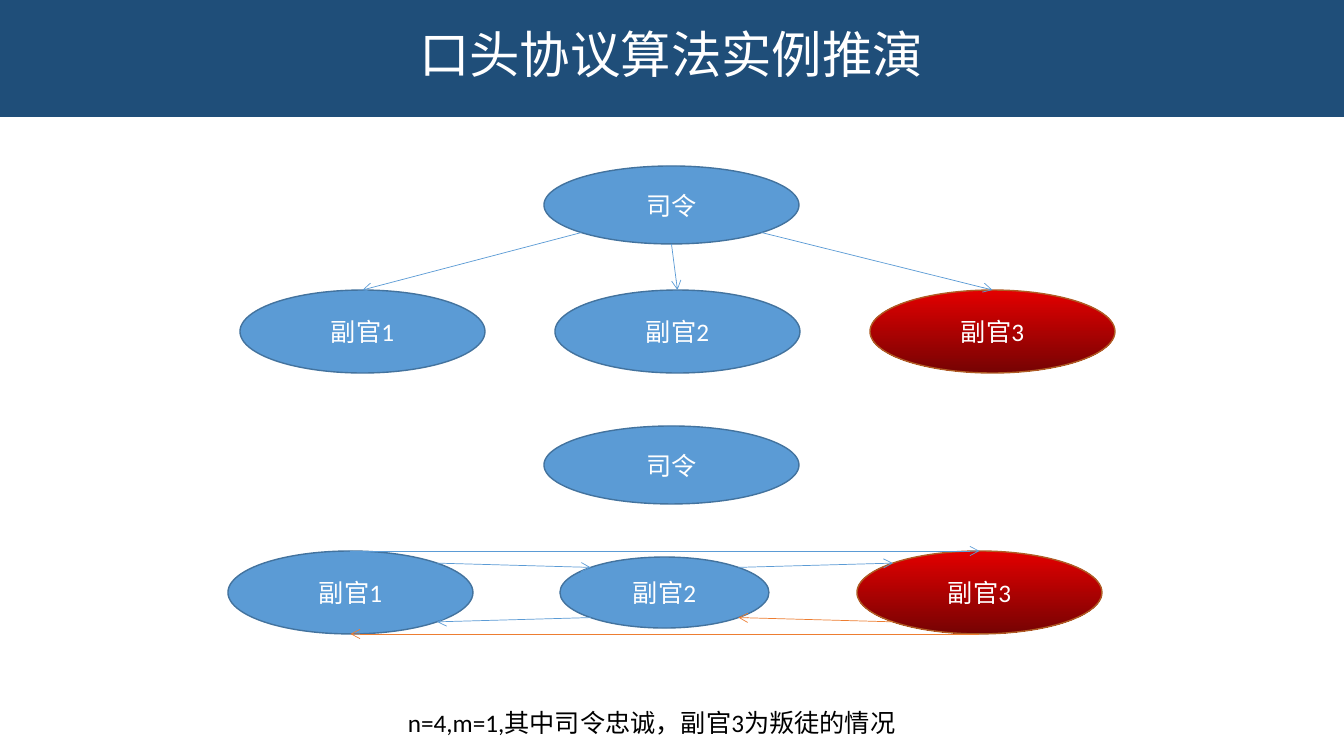
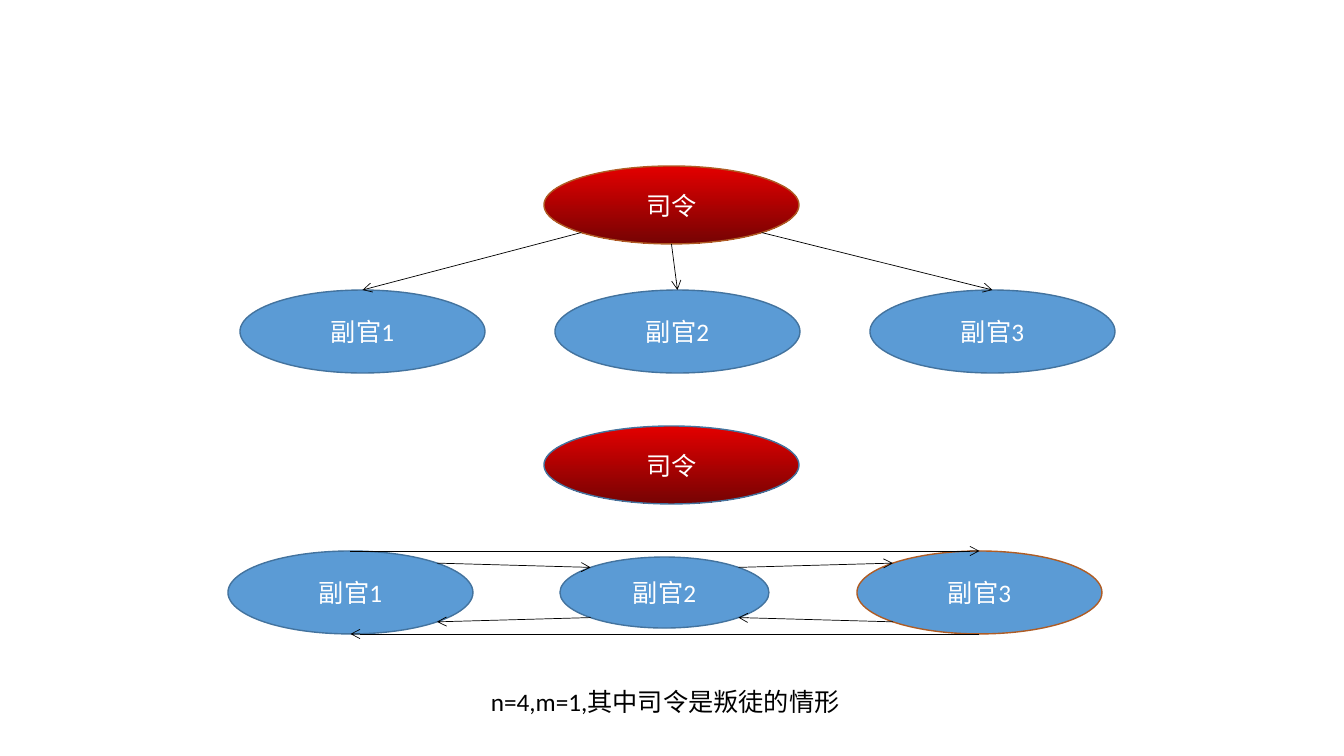
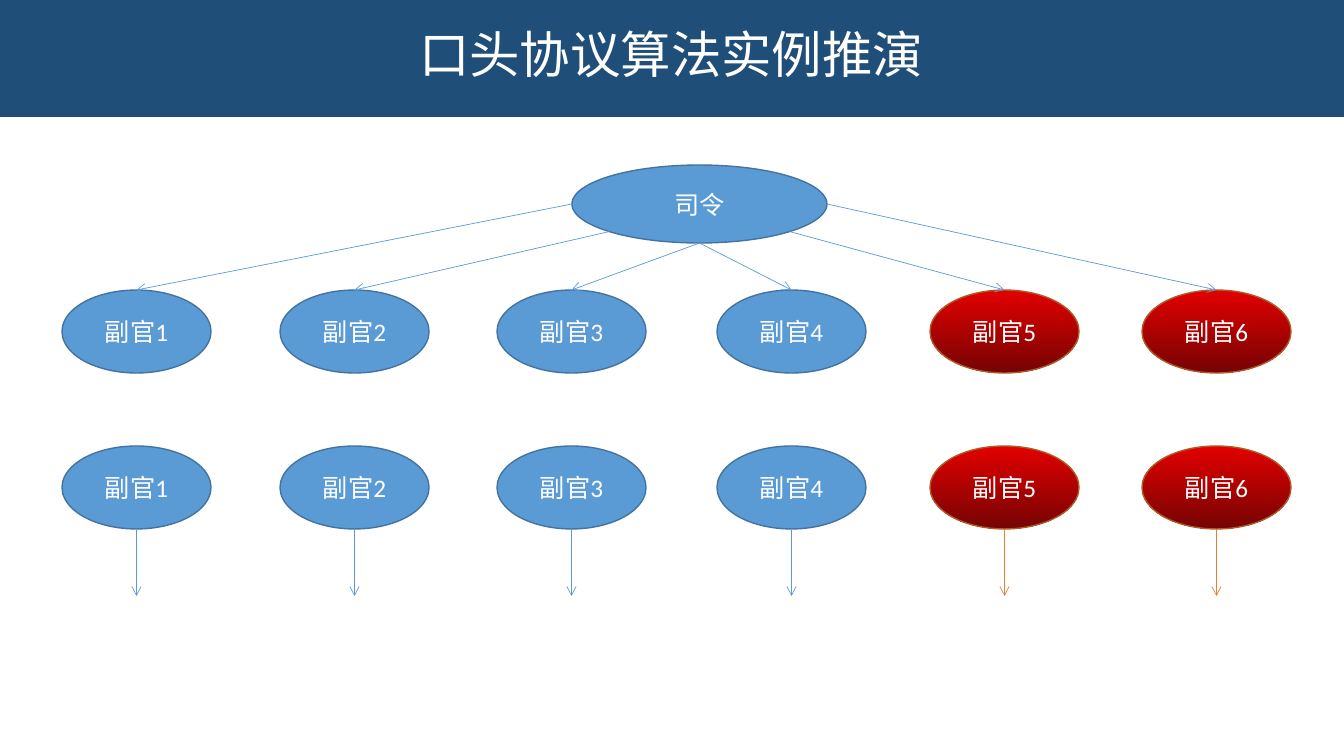
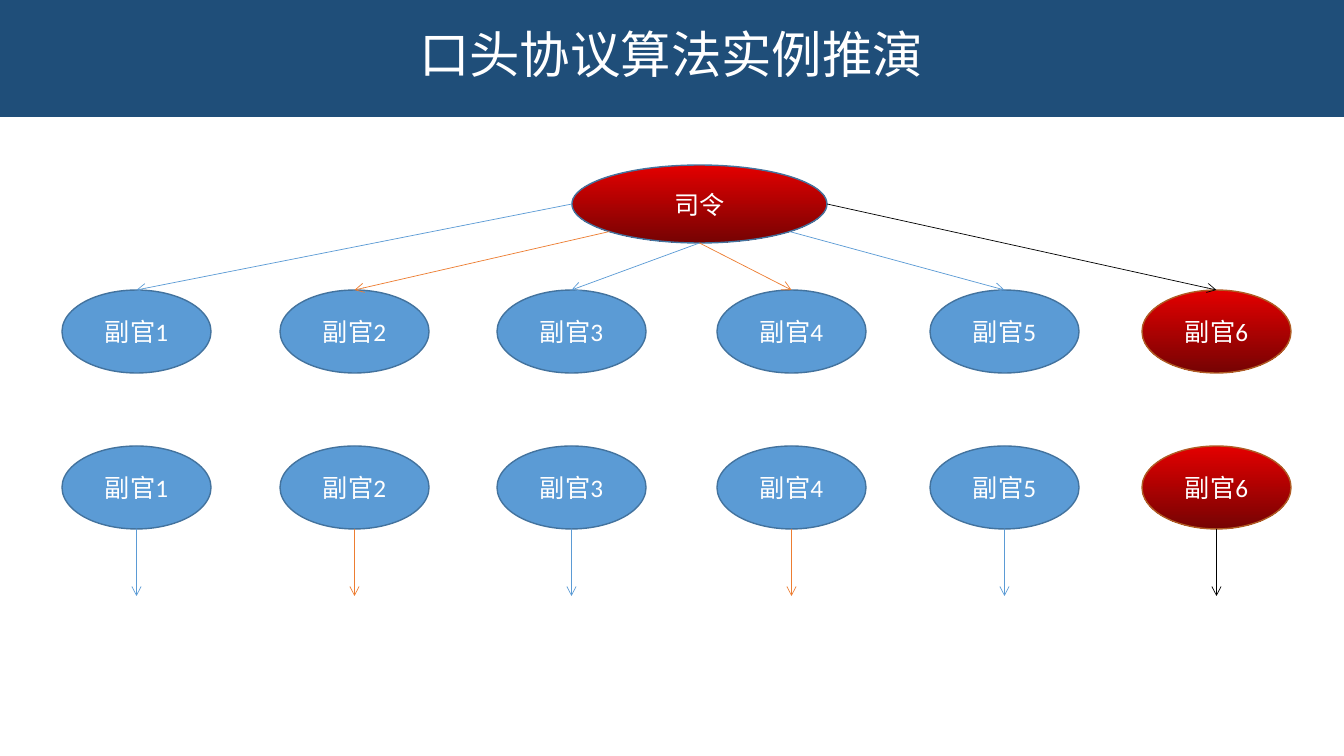
from math import sqrt

from lxml import etree
from pptx import Presentation
from pptx.dml.color import RGBColor
from pptx.enum.shapes import MSO_CONNECTOR, MSO_SHAPE
from pptx.enum.text import MSO_ANCHOR, PP_ALIGN
from pptx.oxml.ns import qn
from pptx.util import Pt

ELLIPSE, RECTANGLE = MSO_SHAPE.OVAL, MSO_SHAPE.RECTANGLE
STRAIGHT = MSO_CONNECTOR.STRAIGHT
CENTER, LEFT = PP_ALIGN.CENTER, PP_ALIGN.LEFT
MIDDLE = MSO_ANCHOR.MIDDLE

PX = 914400 / 100.8
WIDTH, HEIGHT = 1344, 756

NAVY, WHITE, BLACK = "1F4E79", "FFFFFF", "000000"
BLUE, ORANGE = "5B9BD5", "ED7D31"
LOYAL_EDGE, TRAITOR_EDGE = "43739E", "AF5C24"
TRAITOR_GRADIENT = ("E30000", "760303")
LATIN_FONT, CHINESE_FONT = "Calibri", "Noto Sans CJK SC"

TITLE = "口头协议算法实例推演"
TITLE_BAND = (-2, -3, 1346, 120)

# Connection sites of an ellipse: index, then offset from the centre in half axes
DIAGONAL = sqrt(0.5)
SITES = {
    "top": (0, 0, -1),
    "top left": (1, -DIAGONAL, -DIAGONAL),
    "left": (2, -1, 0),
    "bottom left": (3, -DIAGONAL, DIAGONAL),
    "bottom": (4, 0, 1),
    "bottom right": (5, DIAGONAL, DIAGONAL),
    "right": (6, 1, 0),
    "top right": (7, DIAGONAL, -DIAGONAL),
}
DOWN_ARROW = 67

# Four generals: orders above, exchange between lieutenants below
four_generals = [("司令", (544, 166, 255, 78))]
four_generals += [(f"副官{i + 1}", (240 + 315 * i, 290, 245, 83)) for i in range(3)]
four_generals += [
    ("司令", (544, 426, 255, 78)),
    ("副官1", (228, 551, 245, 83)),
    ("副官2", (560, 557, 209, 71)),
    ("副官3", (857, 551, 245, 83)),
]
four_messages = [
    (0, "bottom left", 1, "top"),
    (0, "bottom", 2, "top"),
    (0, "bottom right", 3, "top"),
    (5, "top right", 6, "top left"),
    (5, "top", 7, "top"),
    (6, "top right", 7, "top left"),
    (6, "bottom left", 5, "bottom right"),
    (7, "bottom left", 6, "bottom right"),
    (7, "bottom", 5, "bottom"),
]

# Seven generals: orders above, each lieutenant relaying below
seven_generals = [("司令", (572, 165, 255, 78))]
for top in (290, 446):
    for i, left in enumerate((62, 280, 497, 717, 930, 1142)):
        seven_generals.append((f"副官{i + 1}", (left, top, 149, 83)))
fan_sites = ("left", "bottom left", "bottom", "bottom", "bottom right", "right")
seven_messages = [(0, site, i + 1, "top") for i, site in enumerate(fan_sites)]
seven_messages += [(i, "bottom", None, None) for i in range(7, 13)]

mixed_orders = [BLUE, ORANGE, BLUE, ORANGE, BLUE, BLACK]

# title, caption and its box, generals, traitors, those with a traitor's edge,
# messages, message colours
scenarios = [
    (TITLE, ("n=4,m=1,其中司令忠诚，副官3为叛徒的情况", (398, 702, 587, 40)),
     four_generals, {3, 7}, {3, 7}, four_messages, [BLUE] * 7 + [ORANGE] * 2),
    (None, ("n=4,m=1,其中司令是叛徒的情形", (481, 681, 383, 40)),
     four_generals, {0, 4}, {0, 7}, four_messages, [BLACK] * 9),
    (TITLE, None, seven_generals, {5, 6, 11, 12}, {5, 6, 11, 12},
     seven_messages, [BLUE] * 10 + [ORANGE] * 2),
    (TITLE, None, seven_generals, {0, 6, 12}, {6, 12},
     seven_messages, mixed_orders * 2),
]


def emu(lengths):
    return [round(length * PX) for length in lengths]


def write_text(shape, text, color, size=18, font_name=LATIN_FONT, align=CENTER):
    frame = shape.text_frame
    frame.word_wrap = True
    paragraph = frame.paragraphs[0]
    paragraph.text = text
    paragraph.alignment = align
    font = paragraph.font
    font.size = Pt(size)
    font.name = font_name
    font.color.rgb = RGBColor.from_string(color)
    properties = paragraph._p.pPr.find(qn("a:defRPr"))
    etree.SubElement(properties, qn("a:ea"), typeface=CHINESE_FONT)
    return paragraph


prs = Presentation()
prs.slide_width, prs.slide_height = emu((WIDTH, HEIGHT))

for title, caption, generals, traitors, traitor_edges, messages, colors in scenarios:
    slide = prs.slides.add_slide(prs.slide_layouts[6])

    if title:
        band = slide.shapes.add_shape(RECTANGLE, *emu(TITLE_BAND))
        band.shadow.inherit = False
        band.fill.solid()
        band.fill.fore_color.rgb = RGBColor.from_string(NAVY)
        band.line.fill.background()
        band.text_frame.vertical_anchor = MIDDLE
        write_text(band, title, WHITE, 36, CHINESE_FONT).line_spacing = 0.9

    if caption:
        text, box = caption
        write_text(slide.shapes.add_textbox(*emu(box)), text, BLACK, align=LEFT)

    ellipses = []
    for i, (name, box) in enumerate(generals):
        general = slide.shapes.add_shape(ELLIPSE, *emu(box))
        general.shadow.inherit = False
        if i in traitors:
            general.fill.gradient()
            general.fill.gradient_angle = 270
            for stop, color in zip(general.fill.gradient_stops, TRAITOR_GRADIENT):
                stop.color.rgb = RGBColor.from_string(color)
        else:
            general.fill.solid()
            general.fill.fore_color.rgb = RGBColor.from_string(BLUE)
        edge = TRAITOR_EDGE if i in traitor_edges else LOYAL_EDGE
        general.line.color.rgb = RGBColor.from_string(edge)
        general.line.width = Pt(1)
        general.text_frame.vertical_anchor = MIDDLE
        write_text(general, name, WHITE)
        ellipses.append(general)

    for (sender, begin_site, receiver, end_site), color in zip(messages, colors):
        points, joints = [], []
        for i, site in ((sender, begin_site), (receiver, end_site)):
            if i is None:
                x, y = points[0]
                points.append((x, y + DOWN_ARROW))
                continue
            left, top, width, height = generals[i][1]
            index, dx, dy = SITES[site]
            points.append((left + width / 2 * (1 + dx), top + height / 2 * (1 + dy)))
            joints.append((ellipses[i].shape_id, index))

        message = slide.shapes.add_connector(STRAIGHT, *emu(points[0] + points[1]))
        message.line.color.rgb = RGBColor.from_string(color)
        message.line.width = Pt(0.5)
        etree.SubElement(message.line._ln, qn("a:tailEnd"), type="arrow")
        etree.SubElement(message._element.spPr, qn("a:effectLst"))
        # begin_connect knows only four sites; an ellipse has eight
        joining = message._element.nvCxnSpPr.cNvCxnSpPr
        for tag, (shape_id, index) in zip(("a:stCxn", "a:endCxn"), joints):
            etree.SubElement(joining, qn(tag), id=str(shape_id), idx=str(index))

prs.save("out.pptx")
